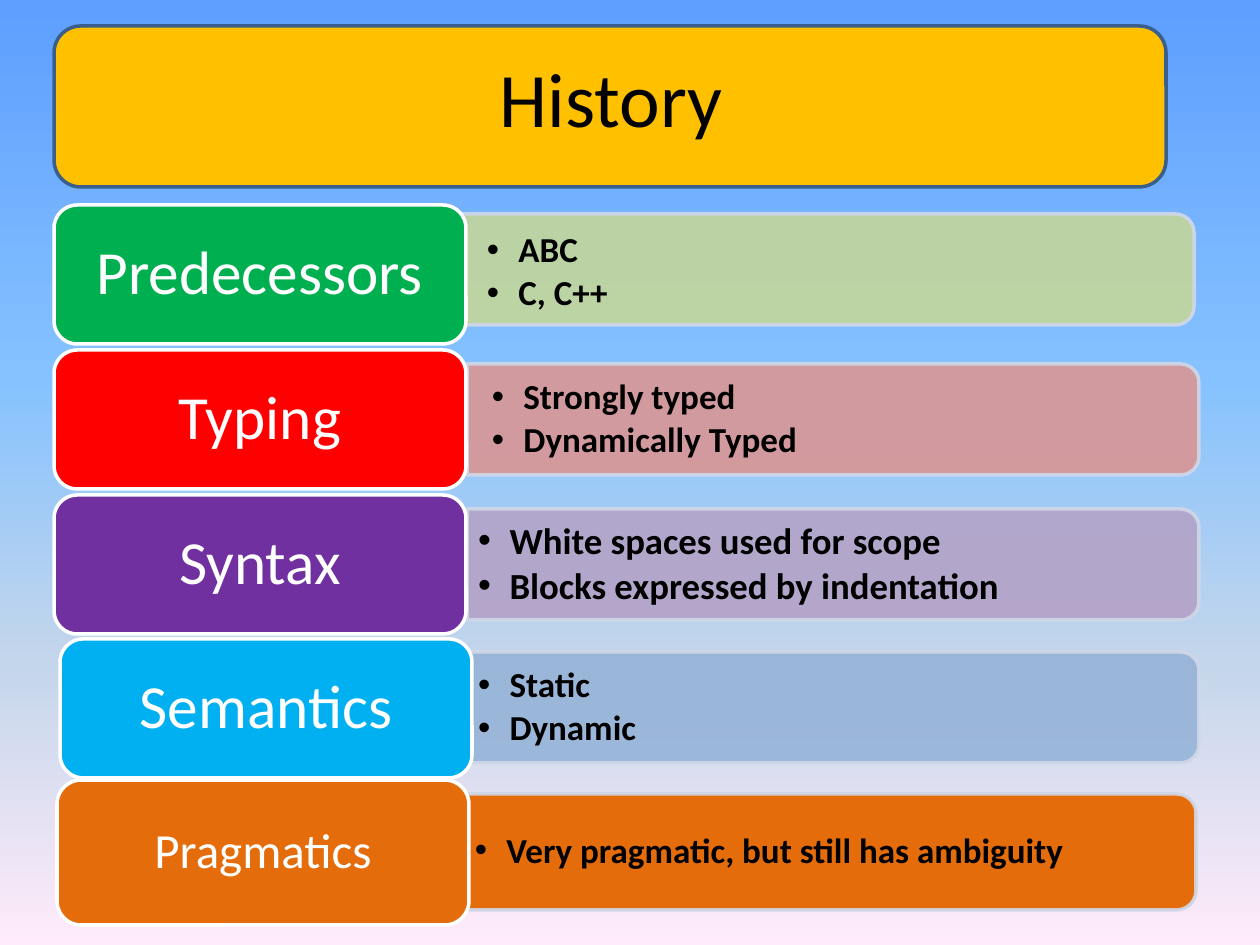
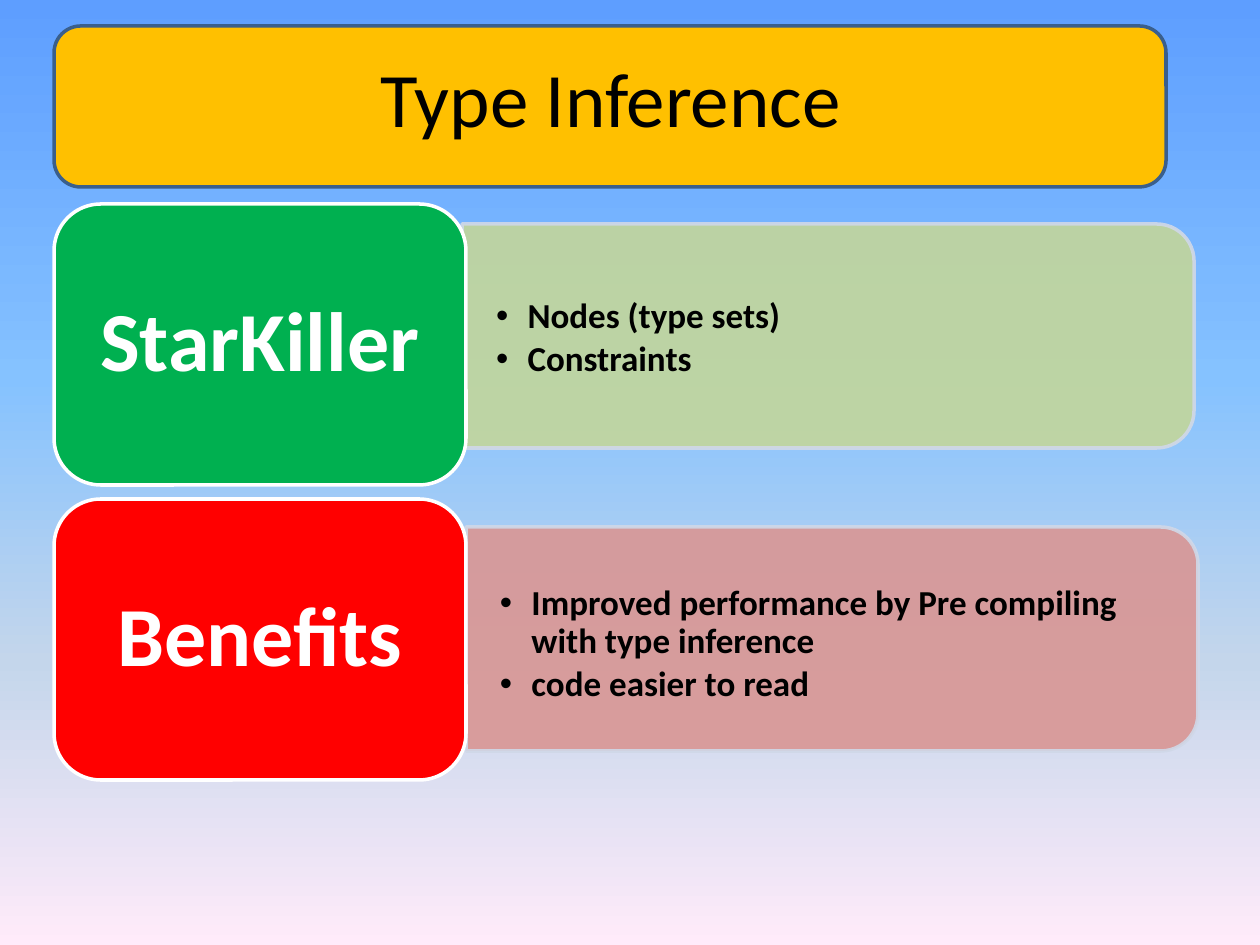
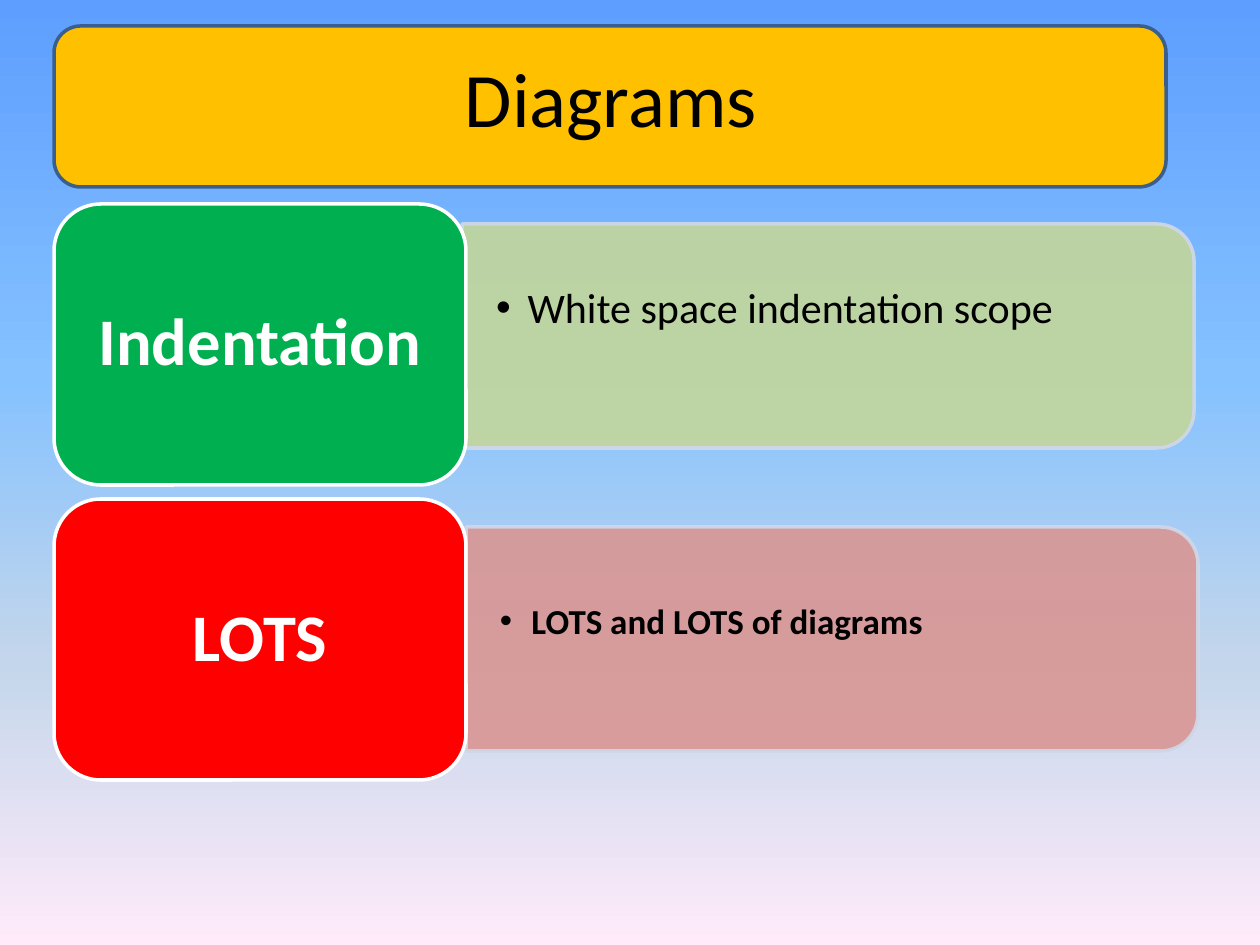
"""Build three slides of topic bands under a gold title banner."""
from dataclasses import dataclass
from lxml import etree
from pptx import Presentation, util as u
from pptx.dml.color import RGBColor
from pptx.enum import shapes, text
from pptx.oxml.ns import qn

HUES = {
    "gold": "FFC000", "navy": "3A5F8C", "black": "000000", "white": "FFFFFF",
    "edge": "D0D8E8", "green": "00B050", "sage": "C3D69B", "red": "FF0000",
    "rose": "D99694", "plum": "7030A0", "lilac": "B3A2C7", "sky": "00B0F0",
    "steel": "95B3D7", "rust": "E46C0A",
}
SKY = {0: "5E9EFF", 40: "85C2FF", 70: "C4D6EB", 100: "FFEBFA"}
FONT = "Calibri"
TAB_W, BAR_W, LIST_H = 412, 732, 100
ROUND = shapes.MSO_SHAPE.ROUNDED_RECTANGLE
HALF = shapes.MSO_SHAPE.ROUND_2_SAME_RECTANGLE


@dataclass
class Band:
    """Place and colours of a tab and the bar beside it."""
    left: int
    top: int
    high: int
    bar_x: int
    bar_y: int
    bar_h: int
    pad: int
    hue: str
    tint: str
    alpha: int = 90


@dataclass
class Topic:
    """Words of one band, their sizes and the middle of the list."""
    label: str
    size: int
    items: list[str]
    mid: int
    points: int = 20
    strong: bool = True


@dataclass
class Page:
    """One slide: title, bands, topics and weight of the tab text."""
    title: str
    bands: list[Band]
    topics: list[Topic]
    heavy: bool


FIVE = [
    Band(54, 205, 139, 462, 214, 111, 25, "green", "sage"),
    Band(54, 350, 139, 467, 364, 111, 25, "red", "rose"),
    Band(54, 495, 139, 467, 509, 111, 11, "plum", "lilac"),
    Band(60, 639, 139, 467, 652, 111, 11, "sky", "steel"),
    Band(57, 780, 145, 464, 794, 116, 11, "rust", "rust", 100),
]
TWO = [
    Band(54, 204, 281, 462, 224, 224, 34, "green", "sage"),
    Band(54, 499, 281, 466, 527, 224, 34, "red", "rose"),
]
PAGES = [
    Page("History", FIVE, [
        Topic("Predecessors", 35, ["ABC", "C, C++"], 273),
        Topic("Typing", 35, ["Strongly typed", "Dynamically Typed"], 420),
        Topic("Syntax", 35, ["White spaces used for scope",
                             "Blocks expressed by indentation"], 565, 21),
        Topic("Semantics", 35, ["Static", "Dynamic"], 708),
        Topic("Pragmatics", 28, ["Very pragmatic, but still has ambiguity"], 852),
    ], False),
    Page("Type Inference", TWO, [
        Topic("StarKiller", 48, ["Nodes (type sets)", "Constraints"], 339),
        Topic("Benefits", 48, ["Improved performance by Pre compiling with type inference",
                               "code easier to read"], 645),
    ], True),
    Page("Diagrams", TWO, [
        Topic("Indentation", 38, ["White space indentation scope"], 310, 24, False),
        Topic("LOTS", 38, ["LOTS and LOTS of diagrams"], 623),
    ], True),
]


def px(num: float) -> int:
    """Turn pixels into EMU."""
    return u.Inches(num / 126)


def tone(name: str) -> RGBColor:
    """Look up a named colour."""
    return RGBColor.from_string(HUES[name])


def fade(fill, alpha: int) -> None:
    """Set the opacity of a solid fill in percent."""
    node = fill.find(".//" + qn("a:srgbClr"))
    etree.SubElement(node, qn("a:alpha"), val=str(alpha * 1000))


def write(frame, lines: list[str], size: int, hue: str = "black", bold: bool = False,
          bullet: bool = False, space: float = 0.9) -> None:
    """Fill a text frame with one paragraph per line."""
    frame.word_wrap = True
    frame.vertical_anchor = text.MSO_ANCHOR.MIDDLE
    if bullet:
        frame.margin_left = frame.margin_right = 0
        frame.margin_top = frame.margin_bottom = 0
    for num, line in enumerate(lines):
        para = frame.add_paragraph() if num else frame.paragraphs[0]
        para.line_spacing = space
        run = para.add_run()
        run.text = line
        font = run.font
        font.name, font.size, font.bold = FONT, u.Pt(size), bold
        font.color.rgb = tone(hue)
        if bullet:
            para.alignment = text.PP_ALIGN.LEFT
            para.space_after = u.Pt(3)
            props = para._p.get_or_add_pPr()
            props.set("marL", str(u.Inches(0.25)))
            props.set("indent", str(-u.Inches(0.25)))
            etree.SubElement(props, qn("a:buFont"), typeface="Arial")
            etree.SubElement(props, qn("a:buChar"), char="•")
        else:
            para.alignment = text.PP_ALIGN.CENTER


def block(slide, kind, left: float, top: float, wide: int, high: int,
          fill: str, line: str):
    """Draw a filled and outlined shape."""
    shape = slide.shapes.add_shape(kind, px(left), px(top), px(wide), px(high))
    shape.shadow.inherit = False
    shape.fill.solid()
    shape.fill.fore_color.rgb = tone(fill)
    shape.line.color.rgb = tone(line)
    shape.line.width = u.Pt(2)
    return shape


def draw(slide, band: Band, topic: Topic, heavy: bool) -> None:
    """Draw a bar with its list, then the tab over its left end."""
    turn = (BAR_W - band.bar_h) / 2
    bar = block(slide, HALF, band.bar_x + turn, band.bar_y - turn,
                band.bar_h, BAR_W, band.tint, "edge")
    bar.rotation = 90
    fade(bar.element.spPr.find(qn("a:solidFill")), band.alpha)
    fade(bar.element.spPr.find(qn("a:ln")), 90)
    box = slide.shapes.add_textbox(
        px(band.bar_x + band.pad), px(topic.mid - LIST_H / 2),
        px(BAR_W - 2 * band.pad), px(LIST_H))
    write(box.text_frame, topic.items, topic.points, bold=topic.strong, bullet=True)
    tab = block(slide, ROUND, band.left, band.top, TAB_W, band.high, band.hue, "white")
    write(tab.text_frame, [topic.label], topic.size, hue="white", bold=heavy)


def paint(master) -> None:
    """Give the master a top-to-bottom gradient."""
    fill = master.background.fill
    fill.gradient()
    fill.gradient_angle = 270
    stops = master.element.find(".//" + qn("p:bg")).find(".//" + qn("a:gsLst"))
    for stop in list(stops):
        stops.remove(stop)
    for place, hue in SKY.items():
        stop = etree.SubElement(stops, qn("a:gs"), pos=str(place * 1000))
        etree.SubElement(stop, qn("a:srgbClr"), val=hue)


def head(slide, title: str) -> None:
    """Set the title and put its banner behind it."""
    banner = block(slide, ROUND, 54, 26, 1112, 161, "gold", "navy")
    name = slide.shapes.title
    name.element.addprevious(banner.element)
    name.left, name.top, name.width, name.height = map(px, (44, 18, 1134, 158))
    write(name.text_frame, [title], 44, space=1.0)


def main() -> None:
    """Build and save the deck."""
    deck = Presentation()
    deck.slide_width, deck.slide_height = px(1260), px(945)
    paint(deck.slide_master)
    for page in PAGES:
        slide = deck.slides.add_slide(deck.slide_layouts[5])
        head(slide, page.title)
        for band, topic in zip(page.bands, page.topics):
            draw(slide, band, topic, page.heavy)
    deck.save("out.pptx")


if __name__ == "__main__":
    main()
